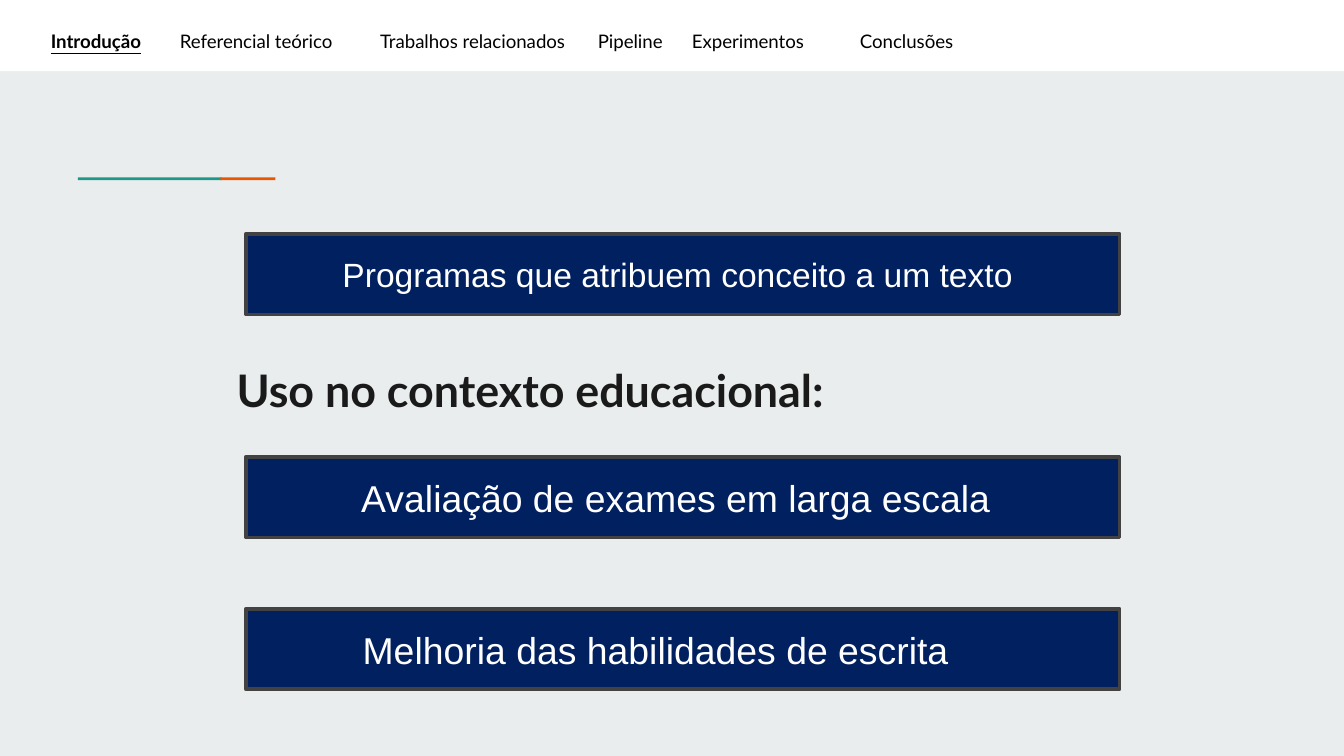
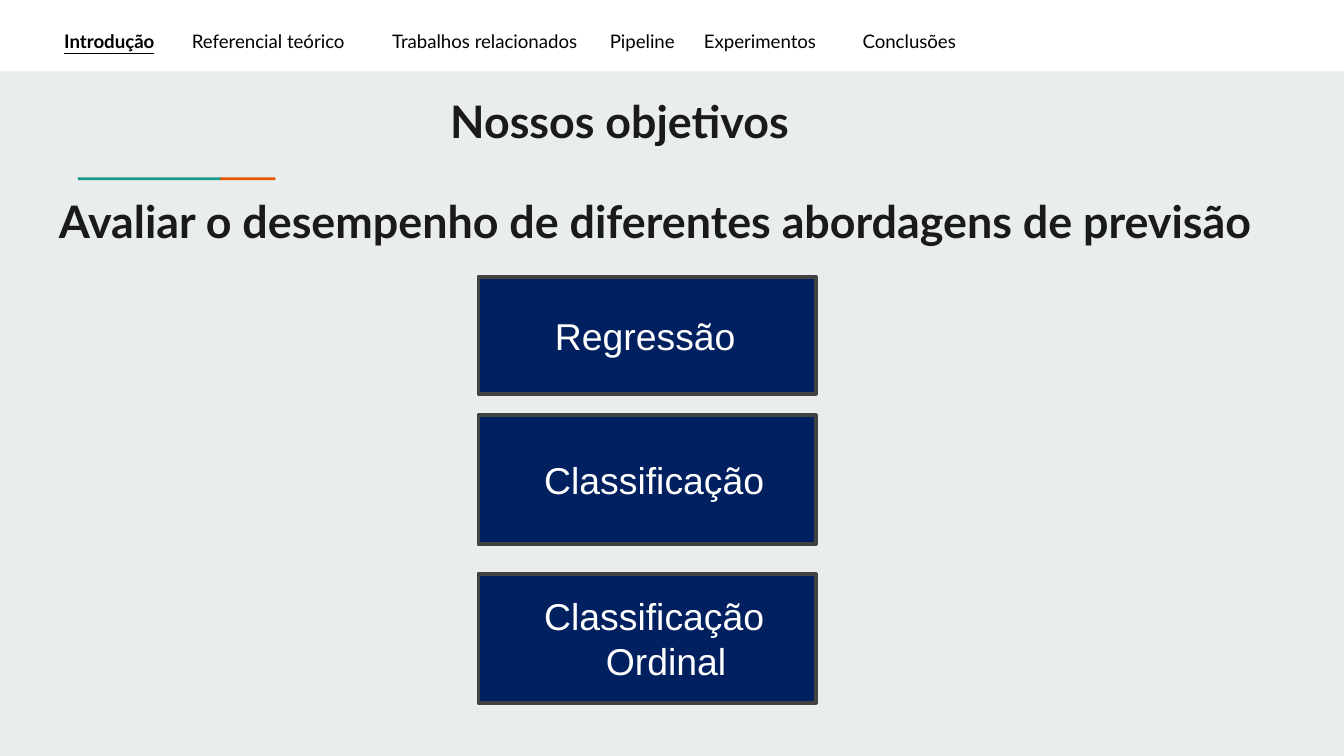
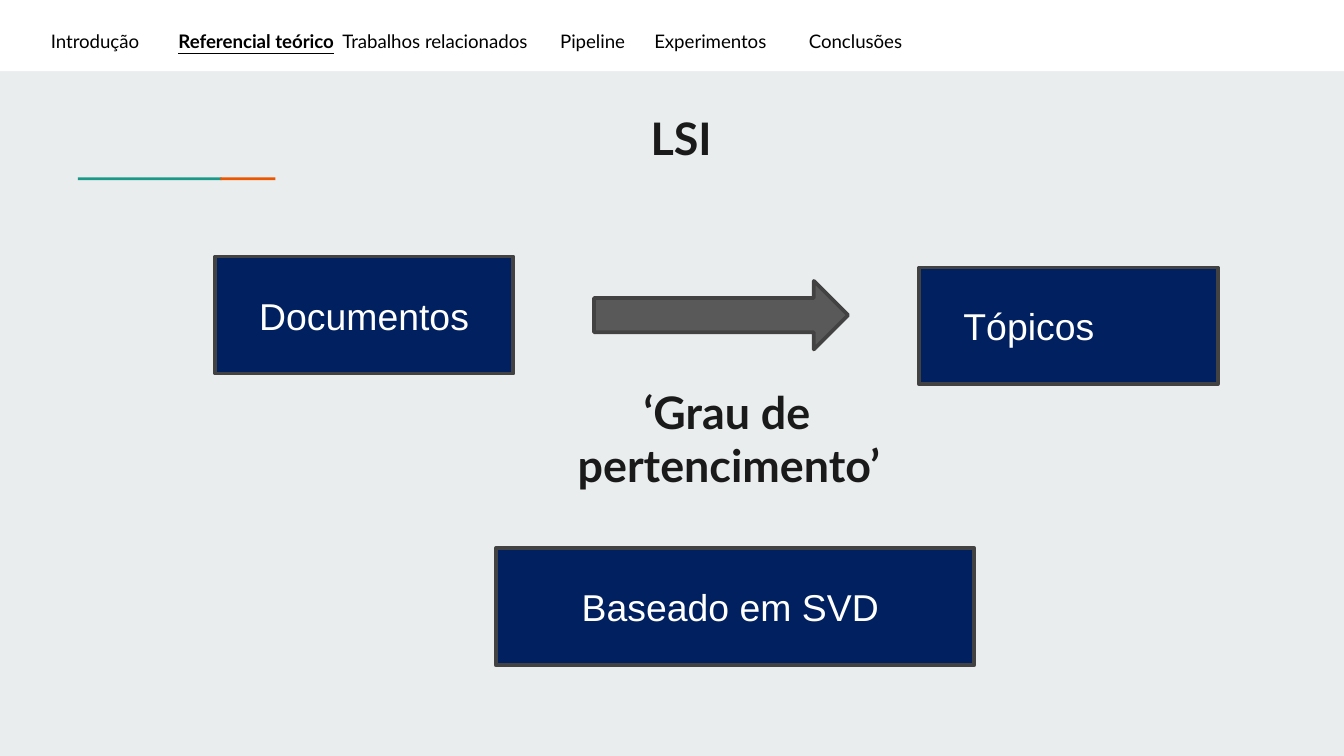
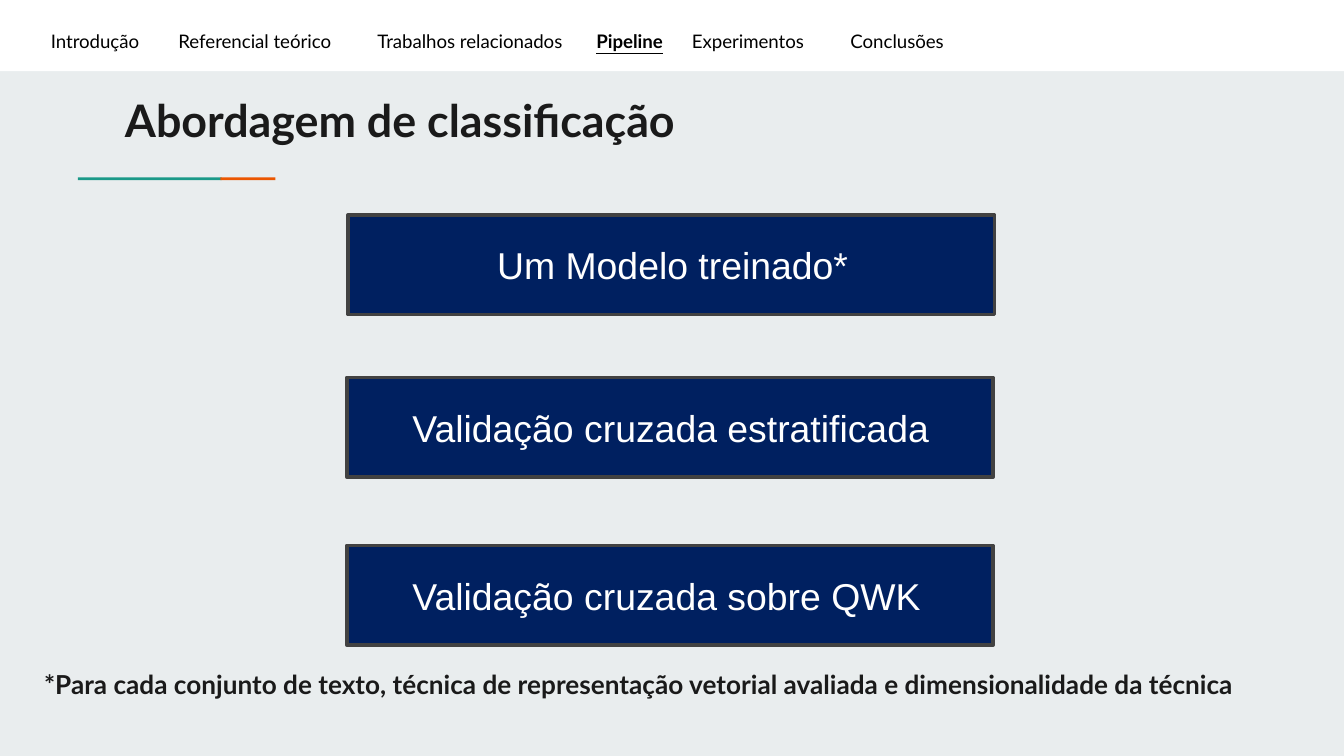
from lxml.etree import SubElement
from pptx import Presentation
from pptx.dml.color import RGBColor
from pptx.enum.shapes import MSO_SHAPE
from pptx.enum.text import MSO_ANCHOR, MSO_AUTO_SIZE, PP_ALIGN
from pptx.oxml.ns import qn
from pptx.util import Inches, Pt

PAPER = RGBColor(0xE9, 0xED, 0xEE)
WHITE = RGBColor(0xFF, 0xFF, 0xFF)
BLACK = RGBColor(0x00, 0x00, 0x00)
INK = RGBColor(0x1A, 0x1A, 0x1A)
NAVY = RGBColor(0x00, 0x20, 0x60)
GRAY = RGBColor(0x59, 0x59, 0x59)
EDGE = RGBColor(0x42, 0x42, 0x42)
TEAL = RGBColor(0x1A, 0x99, 0x88)
ORANGE = RGBColor(0xEB, 0x56, 0x00)

SECTIONS = ["Introdução", "Referencial teórico", "Trabalhos relacionados",
            "Pipeline", "Experimentos", "Conclusões"]
BANDS = [
    ((0, 0, 10, 0.53), WHITE),
    ((0.58, 1.32, 1.07, 0.02), TEAL),
    ((1.64, 1.32, 0.41, 0.02), ORANGE),
]

SLIDES = [
    {
        "active": "Introdução", "nav_left": 0.28,
        "tabs": [0.96, 2.45, 4.07, 4.77, 6.02],
        "title": ((1.66, 2.6, 5.44, 0.54), "Uso no contexto educacional:", 0),
        "boxes": [
            ((1.83, 1.74, 6.5, 0.6), [("Programas que atribuem conceito a um texto", 0.62)], 18),
            ((1.83, 3.4, 6.5, 0.6), [("Avaliação de exames em larga escala", 0.76)], 20),
            ((1.83, 4.53, 6.5, 0.6), [("Melhoria das habilidades de escrita", 0.77)], 20),
        ],
    },
    {
        "active": "Introdução", "nav_left": 0.38,
        "tabs": [0.95, 2.44, 4.06, 4.76, 5.94],
        "title": ((1.38, 0.6, 8.31, 0.54), "Nossos objetivos", 1.87),
        "boxes": [
            ((3.56, 2.06, 2.51, 0.87), [("Regressão", 0.47)], 20),
            ((3.56, 3.09, 2.51, 0.96), [("Classificação", 0.39)], 20),
            ((3.56, 4.27, 2.51, 0.96), [("Classificação", 0.39), ("Ordinal", 0.85)], 20),
        ],
        "notes": [((0.34, 1.34, 9.35, 0.54),
                   [("Avaliar o desempenho de diferentes abordagens de previsão", 0)], 24)],
    },
    {
        "active": "Referencial teórico", "nav_left": 0.28,
        "tabs": [0.95, 2.17, 3.79, 4.49, 5.64],
        "title": ((3.04, 0.72, 8.31, 0.54), "LSI", 1.7),
        "boxes": [
            ((1.6, 1.91, 2.22, 0.87), [("Documentos", 0.23)], 20),
            ((6.84, 1.99, 2.22, 0.87), [("Tópicos", 0.23)], 20),
            ((3.69, 4.08, 3.56, 0.87), [("Baseado em SVD", 0.54)], 20),
        ],
        "arrow": (4.42, 2.09, 1.89, 0.51),
        "notes": [((2.74, 2.76, 4.15, 0.54),
                   [("‘Grau de", 1.95), ("pertencimento’", 1.46)], 24)],
    },
    {
        "active": "Pipeline", "nav_left": 0.28,
        "tabs": [0.95, 2.43, 4.06, 4.77, 5.95],
        "title": ((0.83, 0.59, 8.31, 0.54), "Abordagem de classificação", 0),
        "boxes": [
            ((2.59, 1.6, 4.81, 0.74), [("Um Modelo treinado*", 1.01)], 20),
            ((2.58, 2.81, 4.81, 0.74), [("Validação cruzada estratificada", 0.39)], 20),
            ((2.58, 4.06, 4.81, 0.74), [("Validação cruzada sobre QWK", 0.39)], 20),
        ],
        "notes": [((0.23, 4.87, 9.31, 0.54),
                   [("*Para cada conjunto de texto, técnica de representação vetorial "
                     "avaliada e dimensionalidade da técnica", 0)], 14)],
    },
]


def inches(at):
    return [Inches(v) for v in at]


def style(r, font, size, color, bold=False):
    r.font.name = font
    r.font.size = Pt(size)
    r.font.color.rgb = color
    r.font.bold = bold


def frame(sp, anchor=MSO_ANCHOR.TOP, pad=0.1):
    tf = sp.text_frame
    tf.word_wrap = True
    tf.auto_size = MSO_AUTO_SIZE.NONE
    tf.vertical_anchor = anchor
    tf.margin_left = tf.margin_right = Inches(0.1)
    tf.margin_top = tf.margin_bottom = Inches(pad)
    return tf


def write(tf, lines, font, size, color, bold=False):
    tf.text = "\n".join(words for words, _ in lines)
    for p, (_, indent) in zip(tf.paragraphs, lines):
        p.alignment = PP_ALIGN.LEFT
        pPr = p._p.get_or_add_pPr()
        pPr.set("marL", str(Inches(indent)))
        pPr.set("indent", "0")
        for r in p.runs:
            style(r, font, size, color, bold)


def add_block(s, at, fill, kind=MSO_SHAPE.RECTANGLE, edge=EDGE):
    sp = s.shapes.add_shape(kind, *inches(at))
    sp.shadow.inherit = False
    sp.fill.solid()
    sp.fill.fore_color.rgb = fill
    if edge is None:
        sp.line.fill.background()
    else:
        sp.line.color.rgb = edge
        sp.line.width = Pt(2)
    return sp


def add_title(s, at, words, indent):
    sp = s.shapes.title
    sp.left, sp.top, sp.width, sp.height = inches(at)
    write(frame(sp), [(words, indent)], "Lato", 24, INK, True)


def add_nav(s, left, tabs, active):
    tf = frame(s.shapes.add_textbox(*inches((left, 0.12, 7.37, 0.3))))
    p = tf.paragraphs[0]
    tab_list = SubElement(p._p.get_or_add_pPr(), qn("a:tabLst"))
    for pos in tabs:
        SubElement(tab_list, qn("a:tab"), pos=str(Inches(pos)), algn="l")
    for i, section in enumerate(SECTIONS):
        if i:
            r = p.add_run()
            r.text = "\t"
            style(r, "Lato", 10, BLACK)
        r = p.add_run()
        r.text = section
        style(r, "Lato", 10, BLACK, section == active)
        r.font.underline = section == active


def add_bands(s, layout):
    for i, (at, color) in enumerate(BANDS):
        sp = add_block(s, at, color, edge=None)
        layout.shapes.element.insert(2 + i, sp.element)


def main():
    prs = Presentation()
    prs.slide_width = Inches(10)
    prs.slide_height = prs.slide_width * 9 // 16
    background = prs.slide_master.background.fill
    background.solid()
    background.fore_color.rgb = PAPER
    layout = prs.slide_layouts[5]
    for n, content in enumerate(SLIDES):
        s = prs.slides.add_slide(layout)
        if n == 0:
            add_bands(s, layout)
        add_title(s, *content["title"])
        add_nav(s, content["nav_left"], content["tabs"], content["active"])
        for at, lines, size in content["boxes"]:
            tf = frame(add_block(s, at, NAVY), MSO_ANCHOR.MIDDLE, 0.05)
            write(tf, lines, "Arial", size, WHITE)
        if "arrow" in content:
            add_block(s, content["arrow"], GRAY, MSO_SHAPE.RIGHT_ARROW)
        for at, lines, size in content.get("notes", []):
            tf = frame(s.shapes.add_textbox(*inches(at)))
            write(tf, lines, "Lato", size, INK, True)
    prs.save("out.pptx")


if __name__ == "__main__":
    main()
